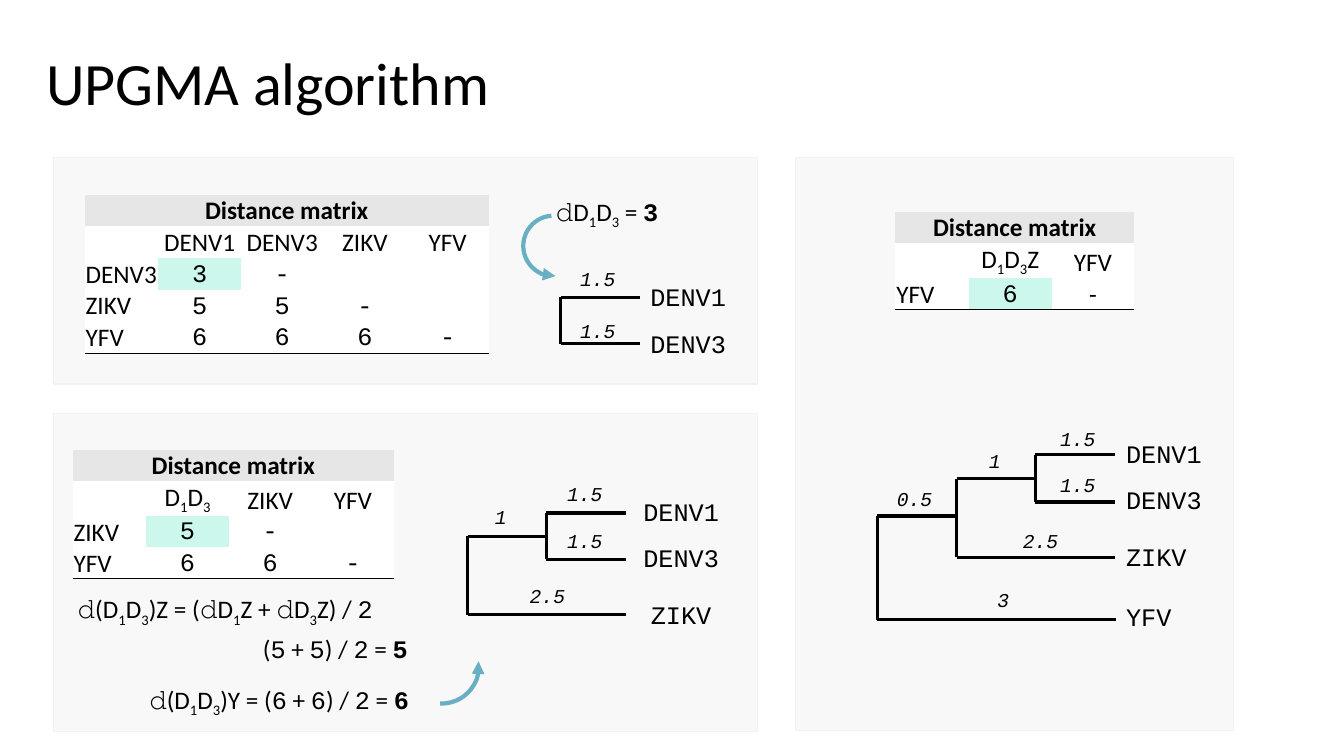
from pptx import Presentation
from pptx.dml.color import RGBColor
from pptx.enum.shapes import MSO_CONNECTOR, MSO_SHAPE
from pptx.enum.text import MSO_ANCHOR, MSO_AUTO_SIZE, PP_ALIGN
from pptx.oxml import parse_xml
from pptx.oxml.ns import nsdecls, qn
from pptx.util import Pt

LINE, RECT, ARC = MSO_CONNECTOR.STRAIGHT, MSO_SHAPE.RECTANGLE, MSO_SHAPE.ARC
LEFT, MID = PP_ALIGN.LEFT, PP_ALIGN.CENTER
TOP, CENTER, BOTTOM = MSO_ANCHOR.TOP, MSO_ANCHOR.MIDDLE, MSO_ANCHOR.BOTTOM
FIT, FIXED = MSO_AUTO_SIZE.SHAPE_TO_FIT_TEXT, MSO_AUTO_SIZE.NONE
SANS, MONO = "Calibri", "Courier New"
BLACK, WHITE, PALE, HEAD, MINT, BLUE = (
    "000000", "FFFFFF", "F2F2F2", "E7E6E6", "CBF7ED", "69AFC3")
PLAIN = "{2D5ABB26-0587-4C30-8999-92F81FD0307C}"  # table style without grid
SCALE = 9144  # 100 px to the inch


def px(*sizes):
    return [size * SCALE for size in sizes]


def paint(color, tint):
    color.rgb = RGBColor.from_string(tint)


def fill(part, tint):
    part.fill.solid()
    paint(part.fill.fore_color, tint)


def split(text):
    """Cut text into (mark, words): ~ sub, # mono, * bold mono, each for one character."""
    parts, mark = [], ""
    for char in text:
        if char in "~#*":
            mark = char
        elif mark or not parts or parts[-1][0]:
            parts.append((mark, char))
            mark = ""
        else:
            parts[-1] = ("", parts[-1][1] + char)
    return parts


def write(frame, text, size=18, face=SANS, bold=False, italic=False, align=MID):
    par = frame.paragraphs[0]
    par.alignment = align
    for mark, words in split(text):
        run = par.add_run()
        run.text = words
        font = run.font
        font.size = Pt(size)
        font.name = MONO if mark in ("#", "*") else face
        font.bold = bold or mark == "*"
        font.italic = italic
        paint(font.color, BLACK)
        if mark == "~":
            run._r.get_or_add_rPr().set("baseline", "-25000")
    return par


def label(slide, text, x, y, w, h=40, wrap=True, anchor=CENTER, fit=FIT, **style):
    frame = slide.shapes.add_textbox(*px(x, y, w, h)).text_frame
    frame.word_wrap = wrap
    frame.auto_size = fit
    frame.vertical_anchor = anchor
    return write(frame, text, **style)


def panel(slide, x, y, w, h):
    card = slide.shapes.add_shape(RECT, *px(x, y, w, h))
    card.shadow.inherit = False
    fill(card, PALE)
    tint = card._element.spPr.find(".//" + qn("a:srgbClr"))
    tint.append(parse_xml(f'<a:alpha {nsdecls("a")} val="50000"/>'))
    paint(card.line.color, PALE)
    card.line.width = Pt(0.75)


def matrix(slide, x, y, rows):
    """Distance table; the closest pair is always the first value."""
    cols, count = len(rows[0]), len(rows) + 1
    shape = slide.shapes.add_table(count, cols, *px(x, y, 73 + 82 * (cols - 1), 31 * count))
    grid = shape.table
    grid.first_row = grid.horz_banding = False
    shape._element.find(".//" + qn("a:tableStyleId")).text = PLAIN
    for c, col in enumerate(grid.columns):
        col.width = px(82 if c else 73)[0]
    for row in grid.rows:
        row.height = px(31)[0]
    grid.cell(0, 0).merge(grid.cell(0, cols - 1))
    for r, row in enumerate([["Distance matrix"]] + rows):
        for c in range(cols):
            cell = grid.cell(r, c)
            cell.margin_left = cell.margin_right = cell.margin_top = px(1)[0]
            cell.margin_bottom = 0
            cell.vertical_anchor = BOTTOM
            fill(cell, HEAD if r == 0 else MINT if (r, c) == (2, 1) else WHITE)
            if c < len(row):
                align = LEFT if r and c == 0 else MID
                write(cell.text_frame, row[c], bold=r == 0, align=align)
            if r == count - 1:
                cell._tc.get_or_add_tcPr().insert(0, parse_xml(
                    f'<a:lnB {nsdecls("a")} w="12700"><a:solidFill>'
                    f'<a:srgbClr val="{BLACK}"/></a:solidFill></a:lnB>'))


def stroke(slide, x1, y1, x2, y2):
    line = slide.shapes.add_connector(LINE, *px(x1, y1, x2, y2))
    paint(line.line.color, BLACK)
    line.line.width = Pt(2.25)
    line._element.spPr.append(parse_xml(f'<a:effectLst {nsdecls("a")}/>'))


def tree(slide, x, y, forks, names, spans, align=MID):
    # Forks: stem, upper branch and its end, lower branch and its end
    for stem, top, near, low, far in forks:
        half = (top + low) // 2
        for level, end in ((top, near), (low, far)):
            stroke(slide, x + stem, y + level, x + end, y + level)
            stroke(slide, x + stem, y + level, x + stem, y + half)
    # Leaf names
    for text, left, top in names:
        label(slide, text, x + left, y + top, 105, face=MONO, align=align)
    # Branch lengths
    for text, left, top, wide in spans:
        label(slide, text, x + left, y + top, wide, 34,
              size=14, face=MONO, italic=True)


def arrow(slide, x, y, size, start, end):
    arc = slide.shapes.add_shape(ARC, *px(x, y, size, size))
    arc.shadow.inherit = False
    arc.fill.background()
    arc.adjustments[0], arc.adjustments[1] = start, end
    paint(arc.line.color, BLUE)
    arc.line.width = Pt(3)
    arc._element.spPr.find(qn("a:xfrm")).set("flipH", "1")
    arc.line._get_or_add_ln().append(
        parse_xml(f'<a:tailEnd {nsdecls("a")} type="triangle"/>'))


def first(slide, x, y, w, h):
    panel(slide, x, y, w, h)
    matrix(slide, x + 31, y + 37, [
        ["", "DENV1", "DENV3", "ZIKV", "YFV"],
        ["DENV3", "#3", "#-"],
        ["ZIKV", "#5", "#5", "#-"],
        ["YFV", "#6", "#6", "#6", "#-"]])
    label(slide, "𝚍D~1D~3 = *3* ", x + 464, y + 36, 185)
    tree(slide, x, y, [(503, 139, 582, 185, 582)],
         [("DENV1", 577, 118), ("DENV3", 577, 165)],
         [("1.5 ", 510, 103, 60), ("1.5 ", 510, 155, 60)])
    arrow(slide, x + 466, y + 58, 60, 164.39, 56.16)


def second(slide, x, y, w, h):
    panel(slide, x, y, w, h)
    matrix(slide, x + 19, y + 36, [
        ["", "D~1D~3", "ZIKV", "YFV"],
        ["ZIKV", "#5", "#-"],
        ["YFV", "#6", "#6", "#-"]])
    for text, left, top, wide in (
            ("𝚍(D~1D~3)Z = (𝚍D~1Z + 𝚍D~3Z) / #2", 14, 174, 317),
            ("(#5 + #5) / #2 = *5", 198, 213, 171),
            ("𝚍(D~1D~3)Y = (#6 + #6) / #2 = *6", 85, 264, 287)):
        label(slide, text, x + left, y + top, wide, wrap=False, anchor=TOP, align=LEFT)
    tree(slide, x, y, [(411, 122, 489, 200, 568), (489, 99, 568, 145, 568)],
         [("DENV1", 570, 77), ("DENV3", 570, 123), ("ZIKV", 570, 180)],
         [("1.5 ", 497, 63, 60), ("1.5 ", 497, 109, 60),
          ("1 ", 425, 86, 49), ("2.5", 452, 164, 76)])
    arrow(slide, x + 348, y + 214, 74, 52.61, 112.58)


def third(slide, x, y, w, h):
    panel(slide, x, y, w, h)
    matrix(slide, x + 99, y + 54, [["", "D~1D~3Z", "YFV"], ["YFV", "#6", "-"]])
    tree(slide, x, y,
         [(238, 295, 317, 342, 317), (160, 319, 238, 397, 317), (81, 356, 160, 459, 318)],
         [("DENV1", 318, 274), ("DENV3", 318, 320), ("ZIKV", 318, 376), ("YFV", 318, 436)],
         [("0.5", 80, 322, 76), ("1.5 ", 250, 262, 60), ("1.5 ", 250, 308, 60),
          ("1 ", 179, 284, 49), ("2.5", 205, 363, 76), ("3", 168, 422, 76)], align=LEFT)


def main():
    deck = Presentation()
    deck.slide_width, deck.slide_height = px(1333, 750)
    slide = deck.slides.add_slide(deck.slide_layouts[6])
    title = label(slide, "UPGMA algorithm", 36, 48, 1265, 75,
                  anchor=TOP, fit=FIXED, size=42.9, align=LEFT)
    title.line_spacing = 0.9
    first(slide, 53, 156, 698, 225)
    second(slide, 53, 410, 698, 316)
    third(slide, 789, 156, 434, 569)
    deck.save("out.pptx")


if __name__ == "__main__":
    main()
